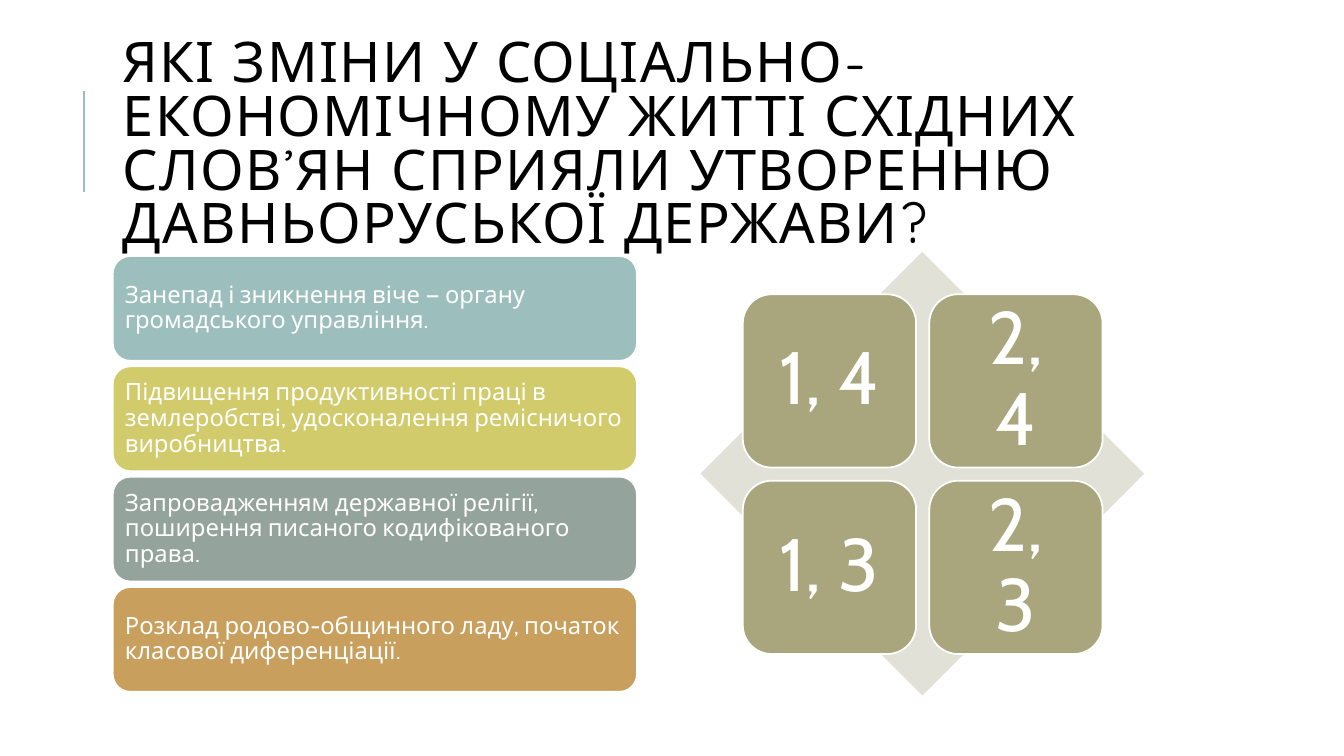
"""Build a quiz slide: four statements on the left, four answer tiles on the right."""
import pptx
import pptx.util
import pptx.dml.color
import pptx.enum.shapes
import pptx.enum.text
import lxml.etree

Pt = pptx.util.Pt
Shape = pptx.enum.shapes.MSO_SHAPE
Align = pptx.enum.text.PP_ALIGN

COLOURS = {
    "white": "FFFFFF",
    "black": "000000",
    "teal": "9CBEBD",
    "yellow": "D2CB6C",
    "grey": "95A39D",
    "orange": "C89F5D",
    "olive": "A9A57C",
    "pale": "E2E1D7",
}


def colour(name):
    """Return the named colour."""
    return pptx.dml.color.RGBColor.from_string(COLOURS[name])


def add_card(slide, left, top, width, height, fill, text, size, inset, align):
    """Add a rounded card with centred-in-height white text."""
    card = slide.shapes.add_shape(
        Shape.ROUNDED_RECTANGLE, Pt(left), Pt(top), Pt(width), Pt(height))
    card.shadow.inherit = False
    card.fill.solid()
    card.fill.fore_color.rgb = colour(fill)
    card.line.color.rgb = colour("white")
    card.line.width = Pt(1.25)
    frame = card.text_frame
    frame.word_wrap = True
    frame.vertical_anchor = pptx.enum.text.MSO_ANCHOR.MIDDLE
    frame.margin_left = frame.margin_right = Pt(inset)
    frame.margin_top = frame.margin_bottom = Pt(inset)
    para = frame.paragraphs[0]
    para.alignment = align
    para.line_spacing = 0.9
    span = para.add_run()
    span.text = text
    span.font.size = Pt(size)
    span.font.name = "Cabin"
    span.font.color.rgb = colour("white")


deck = pptx.Presentation()
deck.slide_width = Pt(960)
deck.slide_height = Pt(540)
page = deck.slides.add_slide(deck.slide_layouts[5])

accent = page.shapes.add_connector(
    pptx.enum.shapes.MSO_CONNECTOR.STRAIGHT, Pt(60), Pt(136.8), Pt(60), Pt(64.8))
accent.line.color.rgb = colour("teal")
accent.line.width = Pt(1.5)
lxml.etree.SubElement(
    accent._element.spPr, pptx.oxml.ns.qn("a:effectLst"))

title = page.shapes.title
title.left, title.top = Pt(80.6), Pt(46)
title.width, title.height = Pt(765.4), Pt(118)
title.text_frame.word_wrap = True
title.text_frame.auto_size = pptx.enum.text.MSO_AUTO_SIZE.NONE
title.text_frame.vertical_anchor = pptx.enum.text.MSO_ANCHOR.MIDDLE
heading = title.text_frame.paragraphs[0]
heading.alignment = Align.LEFT
heading.line_spacing = 0.8
span = heading.add_run()
span.text = ("ЯКІ ЗМІНИ У СОЦІАЛЬНО-ЕКОНОМІЧНОМУ ЖИТТІ СХІДНИХ СЛОВ’ЯН "
             "СПРИЯЛИ УТВОРЕННЮ ДАВНЬОРУСЬКОЇ ДЕРЖАВИ?")
span.font.size = Pt(40)
span.font.name = "Quicksand"
span.font.color.rgb = colour("black")
span._r.get_or_add_rPr().set("spc", "100")

statements = [
    ("teal", "Занепад і зникнення віче — органу громадського управління."),
    ("yellow", "Підвищення продуктивності праці в землеробстві, "
               "удосконалення ремісничого виробництва."),
    ("grey", "Запровадженням державної релігії, "
             "поширення писаного кодифікованого права."),
    ("orange", "Розклад родово-общинного ладу, "
               "початок класової диференціації."),
]
for row, (fill, text) in enumerate(statements):
    add_card(page, 80.6, 182.9 + row * 78.8, 374.4, 74.9,
             fill, text, 17, 5, Align.LEFT)

diamond = page.shapes.add_shape(
    Shape.DIAMOND, Pt(500.4), Pt(180), Pt(316.8), Pt(316.8))
diamond.shadow.inherit = False
diamond.fill.solid()
diamond.fill.fore_color.rgb = colour("pale")
diamond.line.fill.background()

for index, answer in enumerate(["1, 4", "2, 4", "1, 3", "2, 3"]):
    row, column = divmod(index, 2)
    add_card(page, 530.6 + column * 133.2, 210.2 + row * 133.2, 123.8, 123.8,
             "olive", answer, 53, 15.9, Align.CENTER)

deck.save("out.pptx")
